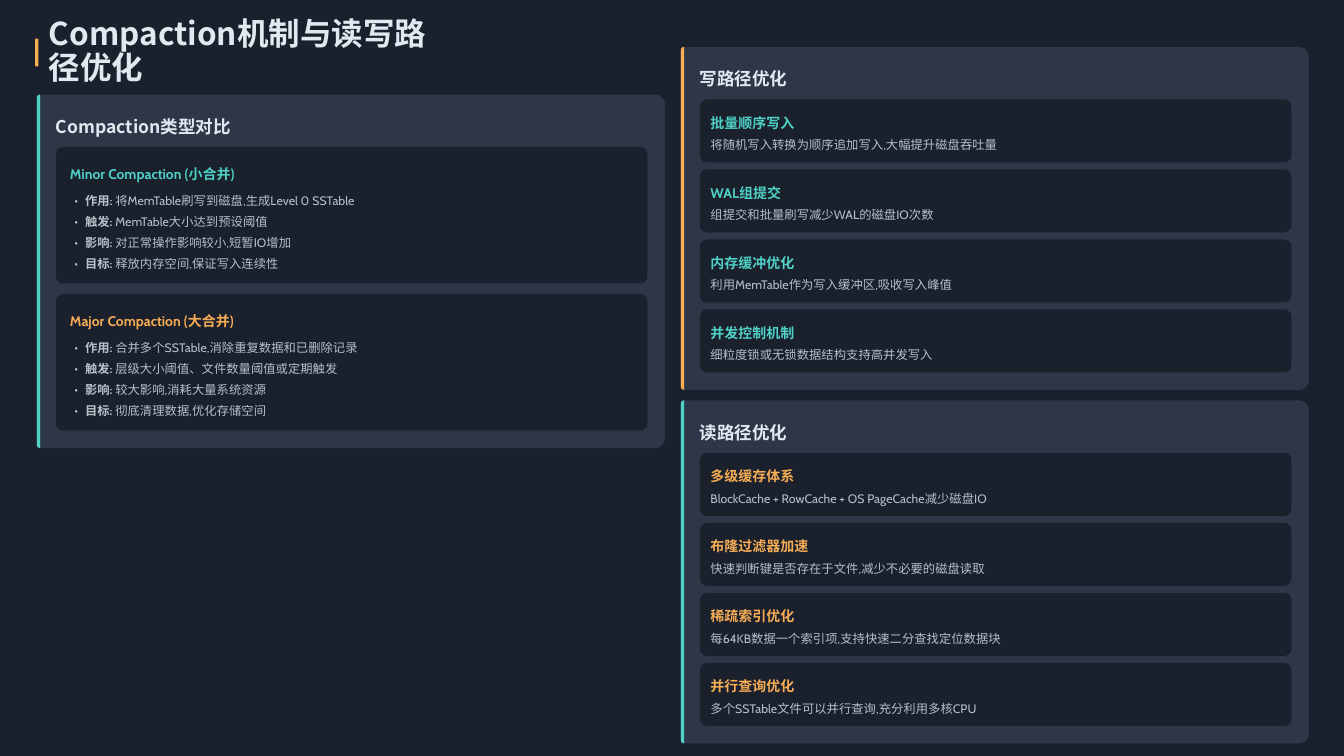
"""Build the slide on compaction and on read and write path optimisation."""
import math

from lxml import etree
from pptx import Presentation
from pptx import util as u
from pptx.dml.color import RGBColor
from pptx.enum import shapes, text
from pptx.oxml.ns import qn

NIGHT = RGBColor(0x1A, 0x20, 0x2C)
SLATE = RGBColor(0x2D, 0x37, 0x48)
MIST = RGBColor(0xE2, 0xE8, 0xF0)
TEAL = RGBColor(0x4F, 0xD1, 0xC5)
AMBER = RGBColor(0xF6, 0xAD, 0x55)

CJK = "Noto Sans CJK SC"
TITLE = dict(name=CJK, size=u.Pt(30), bold=True)
HEADING = dict(name=CJK, size=u.Pt(16.7), bold=True)
TOPIC = dict(name="Cabin", size=u.Pt(13.3), bold=True)
DETAIL = dict(name="Cabin", size=u.Pt(11.7), bold=False)
LABEL = {**DETAIL, "bold": True}
FRAME = dict(margin_left=0, margin_top=0, margin_right=0, margin_bottom=0,
             word_wrap=True, auto_size=text.MSO_AUTO_SIZE.NONE,
             vertical_anchor=text.MSO_ANCHOR.MIDDLE)

PANEL_WIDTH, CARD_WIDTH, INSET, STRIPE = 598.33, 563.33, 18.33, 3.33
CARD_TOP, MERGE_PITCH, TIP_PITCH = 50, 140, 66.67

MERGES = [
    ("Minor Compaction (小合并)", TEAL, [
        ("作用:", "将MemTable刷写到磁盘,生成Level 0 SSTable"),
        ("触发:", "MemTable大小达到预设阈值"),
        ("影响:", "对正常操作影响较小,短暂IO增加"),
        ("目标:", "释放内存空间,保证写入连续性")]),
    ("Major Compaction (大合并)", AMBER, [
        ("作用:", "合并多个SSTable,消除重复数据和已删除记录"),
        ("触发:", "层级大小阈值、文件数量阈值或定期触发"),
        ("影响:", "较大影响,消耗大量系统资源"),
        ("目标:", "彻底清理数据,优化存储空间")]),
]
PATHS = [
    ("写路径优化", 44.67, AMBER, TEAL, [
        ("批量顺序写入", "将随机写入转换为顺序追加写入,大幅提升磁盘吞吐量"),
        ("WAL组提交", "组提交和批量刷写减少WAL的磁盘IO次数"),
        ("内存缓冲优化", "利用MemTable作为写入缓冲区,吸收写入峰值"),
        ("并发控制机制", "细粒度锁或无锁数据结构支持高并发写入")]),
    ("读路径优化", 381.33, TEAL, AMBER, [
        ("多级缓存体系", "BlockCache + RowCache + OS PageCache减少磁盘IO"),
        ("布隆过滤器加速", "快速判断键是否存在于文件,减少不必要的磁盘读取"),
        ("稀疏索引优化", "每64KB数据一个索引项,支持快速二分查找定位数据块"),
        ("并行查询优化", "多个SSTable文件可以并行查询,充分利用多核CPU")]),
]


def assign(target, values):
    """Set every attribute named in values."""
    for key, value in values.items():
        setattr(target, key, value)


class Deck:
    """Hold the style and the current slide."""

    def __init__(self):
        """Open a dark slide with a title and two lists."""
        self.file = Presentation()
        assign(self.file, dict(slide_width=u.Pt(1280), slide_height=u.Pt(720)))
        self.slide = self.file.slides.add_slide(self.file.slide_layouts[3])
        backdrop = self.slide.background.fill
        backdrop.solid()
        backdrop.fore_color.rgb = NIGHT

    def paint(self, shape, color):
        """Give a shape a flat fill with no line or shadow."""
        shape.fill.solid()
        shape.fill.fore_color.rgb = color
        shape.line.fill.background()
        shape.shadow.inherit = False
        return shape

    def block(self, kind, left, top, width, height, color):
        """Draw a preset shape."""
        box = map(u.Pt, (left, top, width, height))
        return self.paint(self.slide.shapes.add_shape(kind, *box), color)

    def slab(self, left, top, width, height, near, far, color):
        """Draw a box with its own corner radius on the left and right."""
        right, bottom = left + width, top + height
        corners = [(right - far, top + far, far, -90), (right - far, bottom - far, far, 0),
                   (left + near, bottom - near, near, 90), (left + near, top + near, near, 180)]
        points = [(u.Pt(x + r * math.cos(math.radians(start + turn))),
                   u.Pt(y + r * math.sin(math.radians(start + turn))))
                  for x, y, r, start in corners for turn in (range(0, 91, 10) if r else [0])]
        outline = self.slide.shapes.build_freeform(*points[0])
        outline.add_line_segments(points[1:])
        self.paint(outline.convert_to_shape(), color)

    def place(self, holder, left, top, width, height):
        """Move a text holder to the front and to its position."""
        self.slide.shapes._spTree.append(holder._element)
        assign(holder, dict(left=u.Pt(left), top=u.Pt(top),
                            width=u.Pt(width), height=u.Pt(height)))
        assign(holder.text_frame, FRAME)
        return holder.text_frame

    def fill_paragraph(self, paragraph, pieces, color, spacing, alpha=None):
        """Fill a paragraph with styled runs."""
        assign(paragraph, dict(alignment=text.PP_ALIGN.LEFT, line_spacing=spacing,
                               space_before=u.Pt(0), space_after=u.Pt(0)))
        for words, style in pieces:
            run = paragraph.add_run()
            run.text = words
            assign(run.font, style)
            run.font.color.rgb = color
            properties = run._r.get_or_add_rPr()
            if alpha:
                shade = properties.find(".//" + qn("a:srgbClr"))
                etree.SubElement(shade, qn("a:alpha"), val=str(alpha * 1000))
            latin = properties.find(qn("a:latin"))
            latin.addnext(properties.makeelement(qn("a:ea"), {"typeface": CJK}))

    def title(self, words, *box):
        """Set the slide title."""
        frame = self.place(self.slide.shapes.title, *box)
        self.fill_paragraph(frame.paragraphs[0], [(words, TITLE)], MIST, 0.9)

    def line(self, words, style, color, spacing, *box, alpha=None):
        """Set one line of text in its own box."""
        frame = self.place(self.slide.shapes.add_textbox(0, 0, 0, 0), *box)
        self.fill_paragraph(frame.paragraphs[0], [(words, style)], color, spacing, alpha)

    def bullets(self, index, facts, *box):
        """List labelled facts in a body placeholder."""
        frame = self.place(self.slide.placeholders[index], *box)
        for number, (label, fact) in enumerate(facts):
            paragraph = frame.add_paragraph() if number else frame.paragraphs[0]
            layout = paragraph._p.get_or_add_pPr()
            layout.set("marL", str(u.Pt(14.3)))
            layout.set("indent", str(-u.Pt(14.3)))
            etree.SubElement(layout, qn("a:buFont"), typeface=CJK)
            etree.SubElement(layout, qn("a:buChar"), char="•")
            pieces = [(label, LABEL), (" " + fact, DETAIL)]
            self.fill_paragraph(paragraph, pieces, MIST, u.Pt(20), 80)

    def panel(self, heading, left, top, height, accent):
        """Draw a headed panel with an accent stripe."""
        self.slab(left, top, PANEL_WIDTH, height, STRIPE, 9.67, SLATE)
        self.slab(left, top, STRIPE, height, STRIPE, 0, accent)
        self.line(heading, HEADING, MIST, 1.2, left + INSET, top + 16.67, 571.67, 23.33)

    def card(self, topic, left, top, height, pad, color):
        """Draw a dark card with its topic line."""
        plate = self.block(shapes.MSO_SHAPE.ROUNDED_RECTANGLE, left, top, CARD_WIDTH, height, NIGHT)
        plate.adjustments[0] = 6.67 / height
        self.line(topic, TOPIC, color, 1.3, left + pad, top + pad, 543, 20)


def main():
    """Build and save the slide."""
    deck = Deck()
    deck.block(shapes.MSO_SHAPE.RECTANGLE, 33.33, 36.67, STRIPE, 26.67, AMBER)
    deck.title("Compaction机制与读写路径优化", 46.67, 33.33, 360, 33.33)

    left, top = 35, 90
    deck.panel("Compaction类型对比", left, top, 336.67, TEAL)
    for number, (topic, color, facts) in enumerate(MERGES):
        card_top = top + CARD_TOP + number * MERGE_PITCH
        deck.card(topic, left + INSET, card_top, 130, 13.33, color)
        deck.bullets(number + 1, facts, left + INSET + 13.33, card_top + 38.3, 542, 80)

    left = 648.33
    for heading, top, accent, color, tips in PATHS:
        deck.panel(heading, left, top, 326.67, accent)
        for number, (topic, detail) in enumerate(tips):
            card_top = top + CARD_TOP + number * TIP_PITCH
            deck.card(topic, left + INSET, card_top, 60, 10, color)
            deck.line(detail, DETAIL, MIST, 1.2, left + INSET + 10, card_top + 33.33,
                      549, 16.67, alpha=80)
    deck.file.save("out.pptx")


if __name__ == "__main__":
    main()
